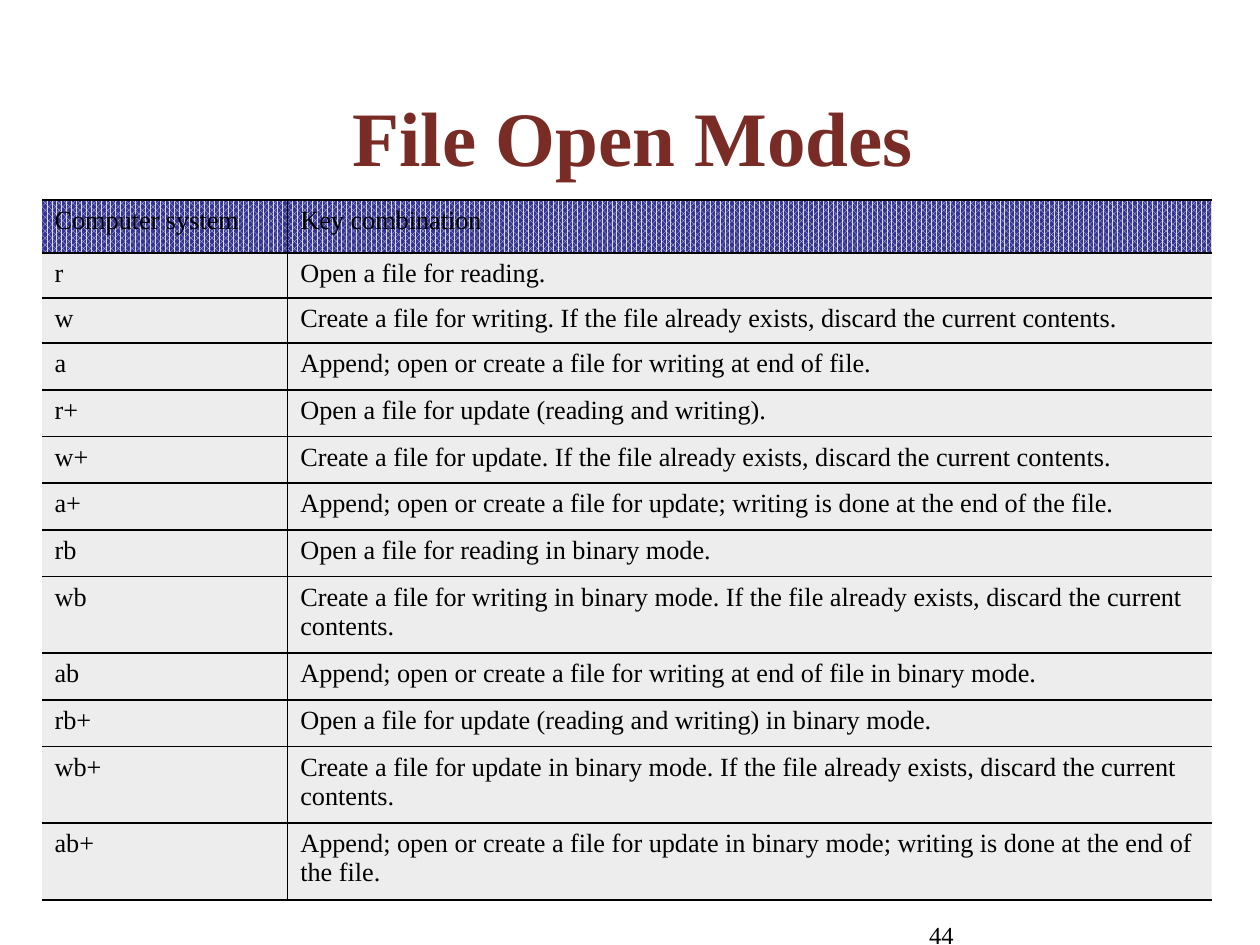
from lxml import etree
from pptx import Presentation
from pptx import util as u
from pptx.dml import color
from pptx.enum import dml, text
from pptx.oxml import ns

Pt = u.Pt
FONT = "Times New Roman"
HEX = {"ink": "000000", "title": "792B25", "cell": "DDDDDD", "dots": "333399"}


def put(para, words, size, ink="ink", bold=False):
    run = para.add_run()
    run.text = words
    run.font.name = FONT
    run.font.size = Pt(size)
    run.font.bold = bold
    run.font.color.rgb = color.RGBColor.from_string(HEX[ink])


def sub(node, tag, **atts):
    return etree.SubElement(node, ns.qn(tag), **atts)


deck = Presentation()
deck.slide_width, deck.slide_height = Pt(720), Pt(540)
slide = deck.slides.add_slide(deck.slide_layouts[5])

title = slide.shapes.title
title.left, title.top, title.width, title.height = Pt(20), Pt(49.7), Pt(672.6), Pt(55.5)
frame = title.text_frame
frame.auto_size = text.MSO_AUTO_SIZE.NONE
frame.vertical_anchor = text.MSO_ANCHOR.MIDDLE
frame.paragraphs[0].alignment = text.PP_ALIGN.CENTER
put(frame.paragraphs[0], " File Open Modes", 44, "title", True)

modes = [
    ("Computer system", "Key combination", 30.2),
    ("r", "Open a file for reading.", 25.8),
    ("w", "Create a file for writing. If the file already exists, discard the current contents.", 25.8),
    ("a", "Append; open or create a file for writing at end of file.", 26.7),
    ("r+", "Open a file for update (reading and writing).", 26.7),
    ("w+", "Create a file for update. If the file already exists, discard the current contents.", 26.7),
    ("a+", "Append; open or create a file for update; writing is done at the end of the file.", 26.7),
    ("rb", "Open a file for reading in binary mode.", 26.7),
    ("wb", "Create a file for writing in binary mode. If the file already exists, discard the current contents.", 43.8),
    ("ab", "Append; open or create a file for writing at end of file in binary mode.", 26.7),
    ("rb+", "Open a file for update (reading and writing) in binary mode.", 26.7),
    ("wb+", "Create a file for update in binary mode. If the file already exists, discard the current contents.", 43.8),
    ("ab+", "Append; open or create a file for update in binary mode; writing is done at the end of the file.", 43.8),
]
last = len(modes) - 1
tall = sum(mode[2] for mode in modes)
grid = slide.shapes.add_table(len(modes), 2, Pt(24), Pt(114.3), Pt(668.4), Pt(tall)).table
grid.horz_banding = False
grid._tbl.tblPr.find(ns.qn("a:tableStyleId")).text = "{2D5ABB26-0587-4C30-8999-92F81FD0307C}"
for col, wide in zip(grid.columns, (140.4, 528)):
    col.width = Pt(wide)

for row, (key, note, high) in enumerate(modes):
    grid.rows[row].height = Pt(high)
    for col, words in enumerate((key, note)):
        cell = grid.cell(row, col)
        cell.margin_left = cell.margin_right = Pt(7.2)
        cell.margin_top = cell.margin_bottom = Pt(3.6)
        para = cell.text_frame.paragraphs[0]
        gap = sub(para._p.get_or_add_pPr(), "a:spcBef")
        sub(gap, "a:spcPct", val="20000")
        put(para, words, 15)

        edges = {
            "a:lnR" if col == 0 else "a:lnL": 1,
            "a:lnT": 1.5 if row == 0 else 1,
            "a:lnB": 1.5 if row == last else 1,
        }
        props = cell._tc.get_or_add_tcPr()
        for tag, thick in edges.items():
            line = sub(props, tag, w=str(Pt(thick)))
            sub(sub(line, "a:solidFill"), "a:srgbClr", val=HEX["ink"])

        if row == 0:
            cell.fill.patterned()
            cell.fill.pattern = dml.MSO_PATTERN.PERCENT_75
            cell.fill.fore_color.rgb = color.RGBColor.from_string(HEX["cell"])
            cell.fill.back_color.rgb = color.RGBColor.from_string(HEX["dots"])
        else:
            tint = sub(sub(props, "a:solidFill"), "a:srgbClr", val=HEX["cell"])
            sub(tint, "a:alpha", val="50000")

page = slide.shapes.add_textbox(Pt(486), Pt(522), Pt(66), Pt(18)).text_frame
page.word_wrap = True
page.paragraphs[0].alignment = text.PP_ALIGN.RIGHT
put(page.paragraphs[0], "44", 14)

deck.save("out.pptx")
